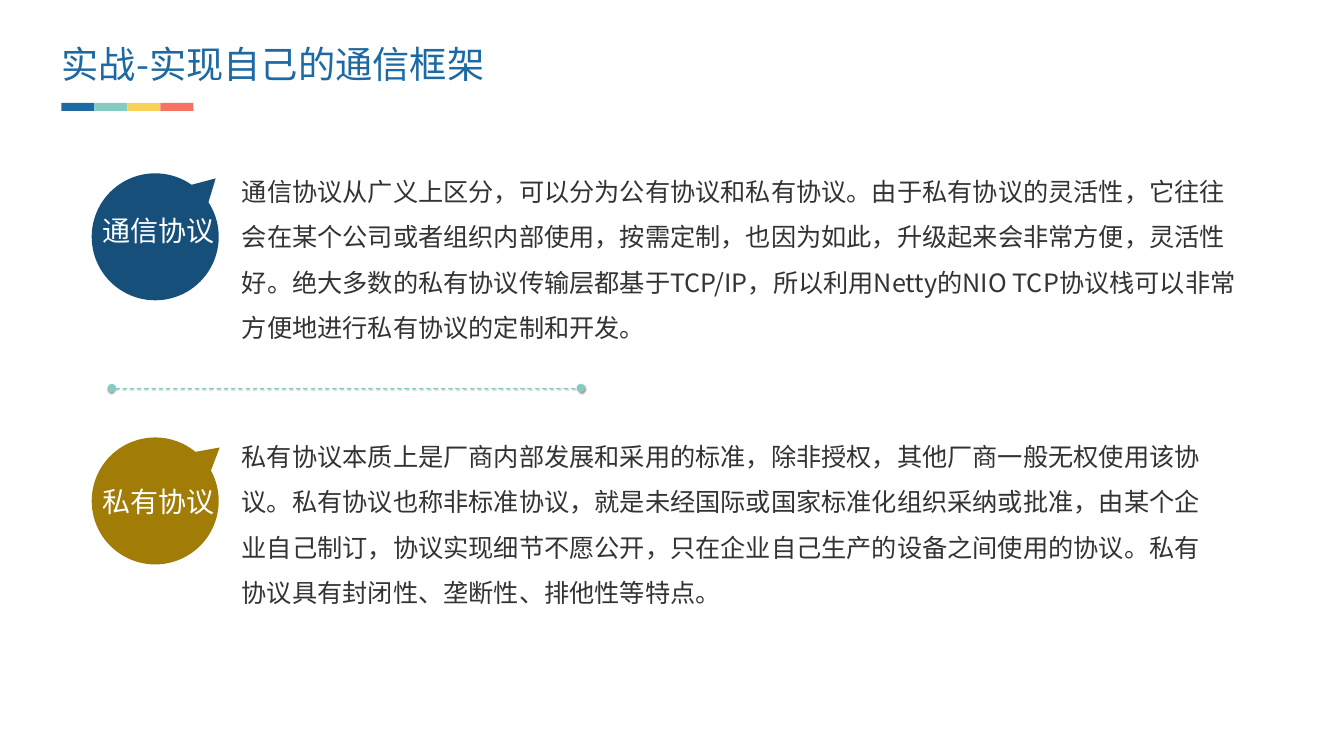
from lxml import etree
from pptx import Presentation
from pptx.dml.color import RGBColor
from pptx.enum import dml, shapes, text
from pptx.oxml import parse_xml
from pptx.oxml.ns import nsdecls, qn
from pptx.util import Inches, Pt

FONT = "Noto Sans CJK SC"
BLUE, TEAL, YELLOW, RED = "1D69A3", "84CBC3", "F8D158", "F57365"
NAVY, OCHRE, GREY, WHITE = "164F7A", "A17C07", "333333", "FFFFFF"

TITLE = "实战-实现自己的通信框架"
PROTOCOL = (
    "通信协议从广义上区分，可以分为公有协议和私有协议。由于私有协议的灵活性，"
    "它往往会在某个公司或者组织内部使用，按需定制，也因为如此，升级起来会非常方便，灵活性好。"
    "绝大多数的私有协议传输层都基于TCP/IP，所以利用Netty的NIO TCP协议栈"
    "可以非常方便地进行私有协议的定制和开发。")
PRIVATE = (
    "私有协议本质上是厂商内部发展和采用的标准，除非授权，其他厂商一般无权使用该协议。"
    "私有协议也称非标准协议，就是未经国际或国家标准化组织采纳或批准，由某个企业自己制订，"
    "协议实现细节不愿公开，只在企业自己生产的设备之间使用的协议。"
    "私有协议具有封闭性、垄断性、排他性等特点。")


def rgb(color):
    return RGBColor.from_string(color)


def write(tf, words, size, color):
    tf.text = words
    p = tf.paragraphs[0]
    r = p.runs[0]
    r.font.size = Pt(size)
    r.font.name = FONT
    r.font.color.rgb = rgb(color)
    # East Asian typeface
    etree.SubElement(r.font._element, qn("a:ea")).set("typeface", FONT)
    return p


def add_block(parent, kind, x, y, w, h, color):
    sp = parent.add_shape(kind, Inches(x), Inches(y), Inches(w), Inches(h))
    sp.fill.solid()
    sp.fill.fore_color.rgb = rgb(color)
    sp.line.fill.background()
    sp.shadow.inherit = False
    return sp


def add_text(slide, x, y, w, h, words, size, color):
    tf = slide.shapes.add_textbox(Inches(x), Inches(y), Inches(w), Inches(h)).text_frame
    tf.word_wrap = True
    tf.auto_size = text.MSO_AUTO_SIZE.SHAPE_TO_FIT_TEXT
    write(tf, words, size, color)
    return tf


def add_header(slide, x, y, w, h):
    # Four-colour bar
    bar = slide.shapes.add_group_shape().shapes
    step = 0.327
    for i, color in enumerate((BLUE, TEAL, YELLOW, RED)):
        add_block(bar, shapes.MSO_SHAPE.RECTANGLE, x + i * step, y + 0.61, step, 0.08, color)
    # Title
    tf = add_text(slide, x, y, w, h, TITLE, 26.6, BLUE)
    tf.margin_left = tf.margin_right = tf.margin_top = tf.margin_bottom = 0


def add_bubble(slide, x, y, label, color, tip, label_dy):
    """Round bubble; tip is the tail's end, measured from the centre."""
    size = 1.26
    group = slide.shapes.add_group_shape().shapes
    bubble = add_block(group, shapes.MSO_SHAPE.OVAL_CALLOUT, x, y, size, size, color)
    for i, offset in enumerate(tip):
        bubble.adjustments[i] = offset / size
    # Label
    w, h = 0.76, 0.44
    sp = add_block(group, shapes.MSO_SHAPE.RECTANGLE, x + 0.66 - w / 2,
                   y + size / 2 + label_dy - h / 2, w, h, color)
    tf = sp.text_frame
    tf.word_wrap = False
    tf.vertical_anchor = text.MSO_ANCHOR.MIDDLE
    write(tf, label, 20, WHITE).alignment = text.PP_ALIGN.CENTER


def add_topic(slide, x, y, w, h, label, words, color, bubble_dy, tip, label_dy):
    # Explanation
    indent = 1.39
    tf = add_text(slide, x + indent, y, w - indent, h, words, 18, GREY)
    tf.paragraphs[0].line_spacing = 1.5
    # Topic name
    add_bubble(slide, x, y + bubble_dy, label, color, tip, label_dy)


def add_divider(slide, x, y, w):
    ln = slide.shapes.add_connector(shapes.MSO_CONNECTOR.STRAIGHT, Inches(x),
                                    Inches(y), Inches(x + w), Inches(y))
    ln.line.color.rgb = rgb(TEAL)
    ln.line.width = Pt(0.75)
    ln.line.dash_style = dml.MSO_LINE.DASH
    # Round ends
    for end in ("a:headEnd", "a:tailEnd"):
        etree.SubElement(ln.line._get_or_add_ln(), qn(end)).set("type", "oval")
    # Soft shadow below
    ln._element.spPr.append(parse_xml(
        f'<a:effectLst {nsdecls("a")}>'
        f'<a:outerShdw blurRad="{Pt(1)}" dist="{Pt(0.5)}" dir="5400000" rotWithShape="0">'
        '<a:srgbClr val="000000"><a:alpha val="38000"/></a:srgbClr>'
        '</a:outerShdw></a:effectLst>'))


def main():
    prs = Presentation()
    prs.slide_width, prs.slide_height = Inches(13.33), Inches(7.5)
    slide = prs.slides.add_slide(prs.slide_layouts[6])
    add_header(slide, 0.61, 0.41, 4.47, 0.45)
    add_topic(slide, 0.91, 1.55, 11.57, 1.92, "通信协议", PROTOCOL, NAVY,
              0.17, (0.6, -0.58), -0.07)
    add_divider(slide, 1.11, 3.85, 4.65)
    add_topic(slide, 0.91, 4.18, 11.26, 1.92, "私有协议", PRIVATE, OCHRE,
              0.16, (0.64, -0.53), 0)
    prs.save("out.pptx")


if __name__ == "__main__":
    main()
